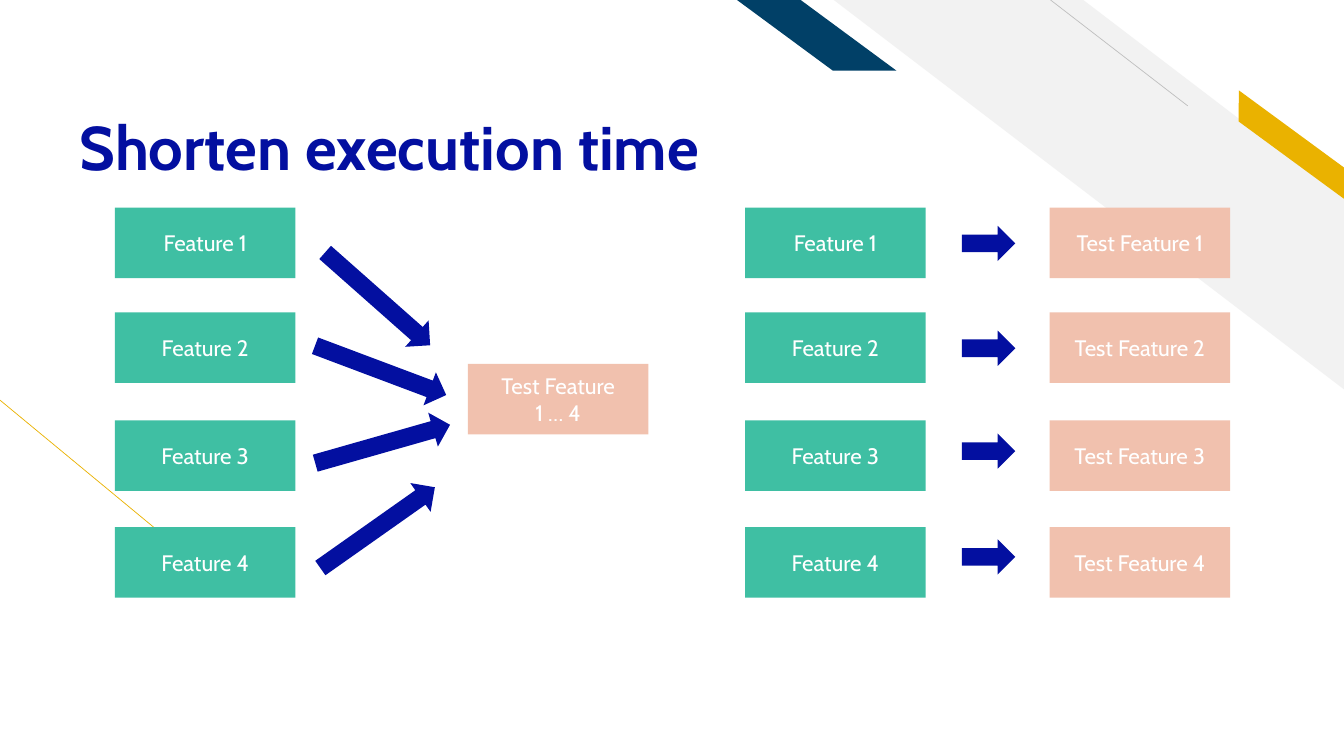
from lxml import etree
from pptx import Presentation
from pptx.dml.color import RGBColor
from pptx.enum.shapes import MSO_CONNECTOR, MSO_SHAPE
from pptx.enum.text import MSO_ANCHOR, PP_ALIGN
from pptx.oxml.ns import qn
from pptx.util import Inches, Pt

RECT, ARROW = MSO_SHAPE.RECTANGLE, MSO_SHAPE.RIGHT_ARROW
STRIPE, SLANT = MSO_SHAPE.DIAGONAL_STRIPE, MSO_SHAPE.PARALLELOGRAM
STRAIGHT = MSO_CONNECTOR.STRAIGHT
LEFT, CENTER = PP_ALIGN.LEFT, PP_ALIGN.CENTER
MIDDLE, BOTTOM = MSO_ANCHOR.MIDDLE, MSO_ANCHOR.BOTTOM

# Content
TITLE = "Shorten execution time"
FEATURES = ["Feature 1", "Feature 2", "Feature 3", "Feature 4"]
JOINT = "Test Feature\n1 … 4"

# Font and colours
FACE = "Cabin"
BLUE, GREEN, PEACH, WHITE = "030FA0", "3FBFA3", "F1C1AE", "FFFFFF"
NAVY, GOLD, PALE, GREY = "014067", "EAB200", "F2F2F2", "BFBFBF"

# Places in inches
ROWS = [2.06, 3.1, 4.17, 5.23]
ARROW_ROWS = [2.24, 3.28, 4.3, 5.35]
BOX_W, BOX_H = 1.79, 0.7
ARROW_W, ARROW_H, LONG_W = 0.53, 0.35, 1.39
LEFT_X, JOINT_X, RIGHT_X, ARROW_X, TEST_X = 1.14, 4.64, 7.39, 9.54, 10.41
JOINT_Y = 3.61
# Long arrows: left, top, turn in degrees
LONG = [(3.05, 2.79, 41.5), (3.08, 3.5, 20.6),
        (3.1, 4.23, 344.1), (3.05, 5.06, 324.8)]
# Background bands: kind, place, adjustment, turn, colour
BANDS = [
    (STRIPE, (8.27, 0, 5.07, 3.87), 0.512, 0, PALE),
    (SLANT, (12.07, 1.31, 1.48, 0.25), 0.72, 36.3, GOLD),
    (SLANT, (7.31, 0, 1.58, 0.7), 1.356, 0, NAVY),
]
# Thin lines: start, end, colour
LINES = [((2.08, 5.69), (0, 3.97), GOLD), ((11.78, 1.05), (10.42, 0), GREY)]

prs = Presentation()
prs.slide_width, prs.slide_height = Inches(13.33), Inches(7.5)
slide = prs.slides.add_slide(prs.slide_layouts[5])
shapes = slide.shapes


def rgb(code):
    return RGBColor.from_string(code)


def write(shape, text, size, color, bold=False, align=CENTER):
    frame = shape.text_frame
    frame.text = text
    for para in frame.paragraphs:
        para.alignment = align
        font = para.font
        font.name, font.size, font.bold = FACE, Pt(size), bold
        font.color.rgb = rgb(color)
    return frame


def draw(kind, place, color, turn=0):
    shape = shapes.add_shape(kind, *map(Inches, place))
    shape.shadow.inherit = False
    shape.fill.solid()
    shape.fill.fore_color.rgb = rgb(color)
    shape.line.fill.background()
    shape.rotation = turn
    return shape


def box(x, y, text, color):
    shape = draw(RECT, (x, y, BOX_W, BOX_H), color)
    write(shape, text, 16, WHITE).vertical_anchor = MIDDLE


# Background bands, then the thin lines over them
for kind, place, adjust, turn, color in BANDS:
    band = draw(kind, place, color, turn)
    band.adjustments[0] = adjust
    band._element.spPr.find(qn("a:xfrm")).set("flipH", "1")

for start, end, color in LINES:
    line = shapes.add_connector(STRAIGHT, *map(Inches, start + end))
    line.line.color.rgb = rgb(color)
    line.line.width = Pt(0.5)
    etree.SubElement(line._element.spPr, qn("a:effectLst"))

# Title
title = shapes.title
title.left, title.top, title.width, title.height = map(
    Inches, (0.69, 0.37, 11.5, 1.45))
frame = write(title, TITLE, 44, BLUE, bold=True, align=LEFT)
frame.vertical_anchor = BOTTOM
frame.margin_bottom = 0
frame.paragraphs[0].line_spacing = 0.9

# Features on both sides, each with its own test on the right
for name, y, arrow_y in zip(FEATURES, ROWS, ARROW_ROWS):
    box(LEFT_X, y, name, GREEN)
    box(RIGHT_X, y, name, GREEN)
    box(TEST_X, y, "Test " + name, PEACH)
    draw(ARROW, (ARROW_X, arrow_y, ARROW_W, ARROW_H), BLUE)

# One joint test on the left
box(JOINT_X, JOINT_Y, JOINT, PEACH)
for x, y, turn in LONG:
    draw(ARROW, (x, y, LONG_W, ARROW_H), BLUE, turn)

prs.save("out.pptx")
